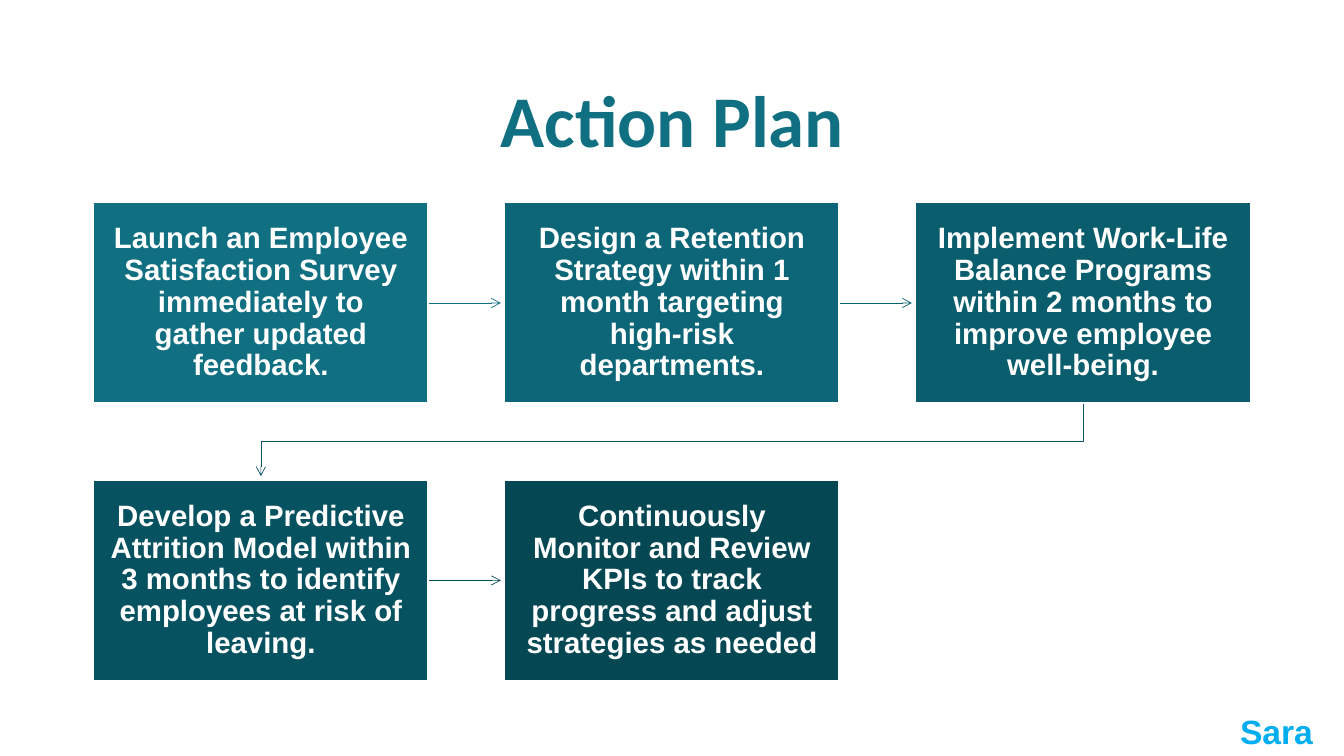
from dataclasses import dataclass

from lxml import etree
from pptx import Presentation
from pptx import util as u
from pptx.dml import color
from pptx.enum import shapes, text
from pptx.oxml import ns

COLOURS = {
    "title": "107082",
    "white": "FFFFFF",
    "signature": "00AEEF",
}
LEFT, TOP = 2.36, 5.11
WIDTH, HEIGHT = 8.43, 5.05
COLUMN_STEP, ROW_STEP = 10.36, 6.99
ARROW_GAP = 0.1


@dataclass(frozen=True)
class Step:
    wording: str
    column: int
    row: int
    fill: str
    arrow: str = ""

    @property
    def left(self) -> float:
        return LEFT + self.column * COLUMN_STEP

    @property
    def top(self) -> float:
        return TOP + self.row * ROW_STEP

    @property
    def centre(self) -> float:
        return self.left + WIDTH / 2

    @property
    def middle(self) -> float:
        return self.top + HEIGHT / 2


STEPS = [
    Step("Launch an Employee Satisfaction Survey immediately to gather updated feedback.",
         0, 0, "107082", "107082"),
    Step("Design a Retention Strategy within 1 month targeting high-risk departments.",
         1, 0, "0D6677", "0C6373"),
    Step("Implement Work-Life Balance Programs within 2 months to improve employee well-being.",
         2, 0, "0A5D6C", "085664"),
    Step("Develop a Predictive Attrition Model within 3 months to identify employees at risk of leaving.",
         0, 1, "075260", "054854"),
    Step("Continuously Monitor and Review KPIs to track progress and adjust strategies as needed",
         1, 1, "054854"),
]


def rgb(value: str) -> color.RGBColor:
    return color.RGBColor.from_string(value)


def write(box, wording: str, *, font: str, size: float, colour: str,
          spacing: float = 1.0, wrap: bool = True, margins: tuple = (0.25, 0.13),
          anchor=text.MSO_ANCHOR.MIDDLE) -> None:
    frame = box.text_frame
    frame.word_wrap = wrap
    frame.vertical_anchor = anchor
    frame.margin_left = frame.margin_right = u.Cm(margins[0])
    frame.margin_top = frame.margin_bottom = u.Cm(margins[1])
    para = frame.paragraphs[0]
    para.alignment = text.PP_ALIGN.CENTER
    para.line_spacing = spacing
    span = para.add_run()
    span.text = wording
    span.font.name = font
    span.font.size = u.Pt(size)
    span.font.bold = True
    span.font.color.rgb = rgb(colour)


def draw_step(page, step: Step) -> None:
    box = page.shapes.add_shape(shapes.MSO_SHAPE.RECTANGLE, u.Cm(step.left),
                                u.Cm(step.top), u.Cm(WIDTH), u.Cm(HEIGHT))
    box.shadow.inherit = False
    box.fill.solid()
    box.fill.fore_color.rgb = rgb(step.fill)
    box.line.color.rgb = rgb(COLOURS["white"])
    box.line.width = u.Pt(1)
    write(box, step.wording, font="Arial", size=21, colour=COLOURS["white"],
          spacing=0.9, margins=(0.41, 0.43))


def draw_arrow(page, start: Step, end: Step) -> None:
    if start.row == end.row:
        arrow = page.shapes.add_connector(
            shapes.MSO_CONNECTOR.STRAIGHT,
            u.Cm(start.left + WIDTH), u.Cm(start.middle),
            u.Cm(end.left - ARROW_GAP), u.Cm(end.middle))
    else:
        bottom = start.top + HEIGHT
        bend = (bottom + end.top) / 2
        corners = [(start.centre, bend), (end.centre, bend),
                   (end.centre, end.top - ARROW_GAP)]
        builder = page.shapes.build_freeform(u.Cm(start.centre), u.Cm(bottom))
        builder.add_line_segments([(u.Cm(x), u.Cm(y)) for x, y in corners], close=False)
        arrow = builder.convert_to_shape()
        arrow.fill.background()
    arrow.line.color.rgb = rgb(start.arrow)
    arrow.line.width = u.Pt(0.5)
    properties = arrow._element.spPr
    head = etree.SubElement(properties.find(ns.qn("a:ln")), ns.qn("a:tailEnd"))
    head.set("type", "arrow")
    etree.SubElement(properties, ns.qn("a:effectLst"))


def main() -> None:
    deck = Presentation()
    deck.slide_width, deck.slide_height = u.Cm(33.87), u.Cm(19.05)
    page = deck.slides.add_slide(deck.slide_layouts[5])

    title = page.shapes.title
    title.left, title.top = u.Cm(2.34), u.Cm(1.55)
    title.width, title.height = u.Cm(29.21), u.Cm(3.15)
    write(title, "Action Plan", font="Calibri", size=52, colour=COLOURS["title"], spacing=0.9)

    for start, end in zip(STEPS, STEPS[1:]):
        draw_arrow(page, start, end)
    for step in STEPS:
        draw_step(page, step)

    signature = page.shapes.add_textbox(u.Cm(30.99), u.Cm(17.78), u.Cm(2.36), u.Cm(1.27))
    write(signature, "Sara", font="Arial", size=24, colour=COLOURS["signature"],
          wrap=False, anchor=text.MSO_ANCHOR.TOP)
    signature.text_frame.auto_size = text.MSO_AUTO_SIZE.SHAPE_TO_FIT_TEXT

    deck.save("out.pptx")


if __name__ == "__main__":
    main()
